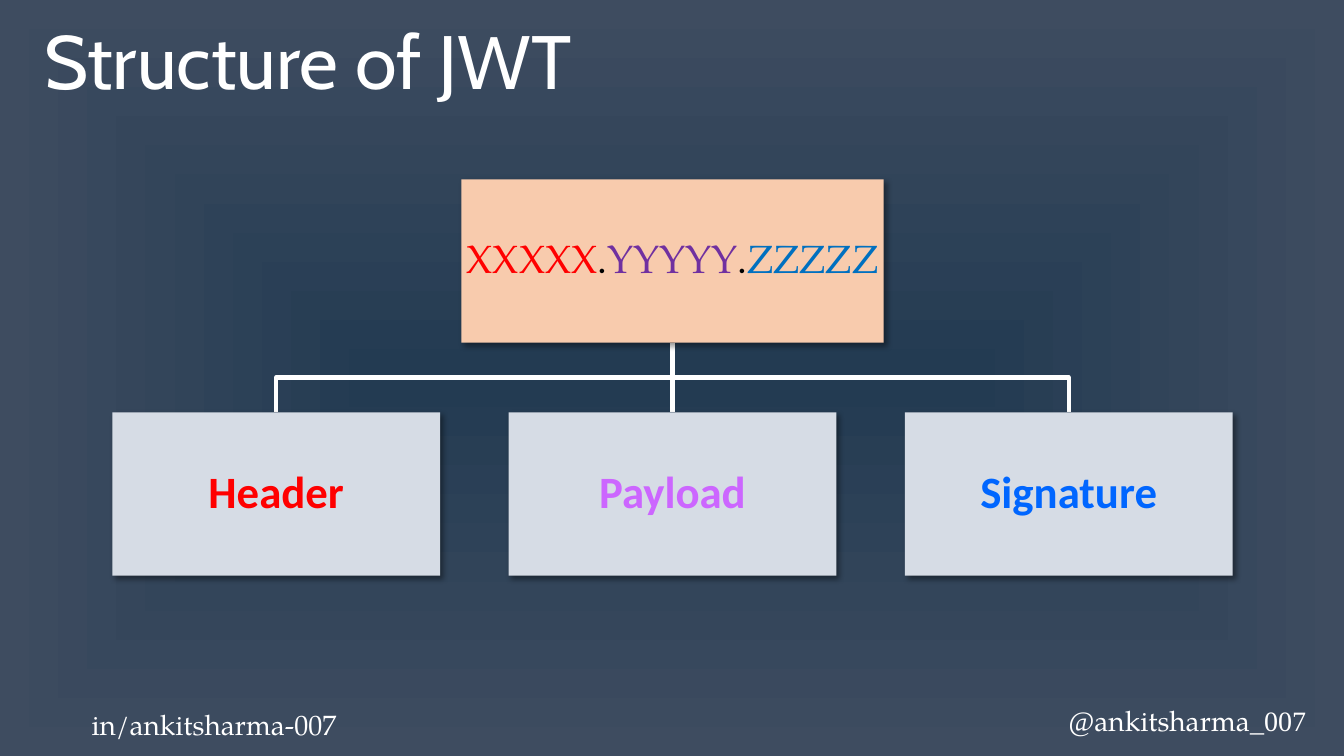
from lxml.etree import SubElement
from pptx import Presentation
from pptx.dml.color import RGBColor
from pptx.enum.shapes import MSO_CONNECTOR, MSO_SHAPE
from pptx.enum.text import MSO_ANCHOR, PP_ALIGN
from pptx.oxml.ns import qn
from pptx.util import Inches, Pt

SERIF = "TeX Gyre Pagella"
WHITE = "FFFFFF"


def color(hex_string):
    """Return the colour for a hex string."""
    return RGBColor.from_string(hex_string)


class SlideBuilder:
    """Draw styled elements on one slide."""

    def __init__(self, slide):
        """Keep the slide to draw on."""
        self.slide = slide

    def background(self, center, edge):
        """Fill the background with a gradient that spreads from the center."""
        fill = self.slide.background.fill
        fill.gradient()
        for stop, hex_string in zip(fill.gradient_stops, (center, edge)):
            stop.color.rgb = color(hex_string)
        gradient = self.slide.element.find(".//" + qn("a:gradFill"))
        edge_color = gradient.findall(".//" + qn("a:srgbClr"))[-1]
        SubElement(edge_color, qn("a:alpha"), val="90000")
        gradient.remove(gradient.find(qn("a:lin")))
        spread = SubElement(gradient, qn("a:path"), path="shape")
        sides = dict.fromkeys("ltrb", "50000")
        SubElement(spread, qn("a:fillToRect"), **sides)

    def add_runs(self, text_frame, runs, size, bold=False):
        """Fill one paragraph with (text, font, colour) runs."""
        paragraph = text_frame.paragraphs[0]
        for text, font_name, hex_string in runs:
            run = paragraph.add_run()
            run.text = text
            run.font.name = font_name
            run.font.size = Pt(size)
            run.font.bold = bold
            run.font.color.rgb = color(hex_string)
        return paragraph

    def title(self, text):
        """Place and format the title placeholder."""
        shape = self.slide.shapes.title
        shape.left, shape.top = Inches(0.34), Inches(0)
        shape.width, shape.height = Inches(11), Inches(1.1)
        shape.text_frame.vertical_anchor = MSO_ANCHOR.BOTTOM
        paragraph = self.add_runs(shape.text_frame, [(text, "Cabin", WHITE)], 54)
        paragraph.alignment = PP_ALIGN.LEFT
        paragraph.line_spacing = 0.9

    def box(self, center, top, width, height, fill, runs, size, bold=False):
        """Add a shadowed box with centred text."""
        shape = self.slide.shapes.add_shape(
            MSO_SHAPE.RECTANGLE, Inches(center - width / 2), Inches(top),
            Inches(width), Inches(height))
        shape.fill.solid()
        shape.fill.fore_color.rgb = color(fill)
        shape.line.fill.background()
        shape.shadow.inherit = False
        effects = shape.element.spPr.find(qn("a:effectLst"))
        shadow = SubElement(effects, qn("a:outerShdw"), blurRad="50800",
                            dist="38100", dir="2700000", algn="tl", rotWithShape="0")
        black = SubElement(shadow, qn("a:srgbClr"), val="000000")
        SubElement(black, qn("a:alpha"), val="40000")
        frame = shape.text_frame
        frame.word_wrap = True
        frame.vertical_anchor = MSO_ANCHOR.MIDDLE
        frame.margin_left = frame.margin_right = Inches(0.02)
        frame.margin_top = frame.margin_bottom = Inches(0.02)
        paragraph = self.add_runs(frame, runs, size, bold)
        paragraph.alignment = PP_ALIGN.CENTER
        paragraph.line_spacing = 0.9

    def branch(self, start_x, start_y, end_x, end_y):
        """Join two points with a straight line or an elbow."""
        if start_x == end_x:
            shape = self.slide.shapes.add_connector(
                MSO_CONNECTOR.STRAIGHT, Inches(start_x), Inches(start_y),
                Inches(end_x), Inches(end_y))
            SubElement(shape.element.spPr, qn("a:effectLst"))
        else:
            middle = (start_y + end_y) / 2
            corners = [(start_x, middle), (end_x, middle), (end_x, end_y)]
            outline = self.slide.shapes.build_freeform(Inches(start_x), Inches(start_y))
            outline.add_line_segments(
                [(Inches(x), Inches(y)) for x, y in corners], close=False)
            shape = outline.convert_to_shape()
            shape.fill.background()
            shape.shadow.inherit = False
        shape.line.color.rgb = color(WHITE)
        shape.line.width = Pt(3)

    def label(self, left, top, width, runs):
        """Add a one-line text box."""
        shape = self.slide.shapes.add_textbox(
            Inches(left), Inches(top), Inches(width), Inches(0.44))
        shape.text_frame.word_wrap = True
        self.add_runs(shape.text_frame, runs, 20)


def main():
    """Build the slide and save it."""
    presentation = Presentation()
    presentation.slide_width = Inches(13.33)
    presentation.slide_height = Inches(7.5)
    slide = presentation.slides.add_slide(presentation.slide_layouts[5])
    builder = SlideBuilder(slide)
    builder.background("233B52", "3E4C60")
    builder.title("Structure of JWT")

    center, pitch, box_height = 6.67, 3.93, 1.62
    token_top, parts_top = 1.78, 4.09
    parts = [("Header", "FF0000"), ("Payload", "CC66FF"), ("Signature", "0066FF")]
    part_centers = [center + pitch * offset for offset in (-1, 0, 1)]

    for part_center in part_centers:
        builder.branch(center, token_top + box_height, part_center, parts_top)
    token = [("XXXXX", SERIF, "FF0000"), (".", SERIF, "000000"),
             ("YYYYY", SERIF, "7030A0"), (".", SERIF, "000000"),
             ("ZZZZZ", SERIF, "0070C0")]
    builder.box(center, token_top, 4.19, box_height, "F8CBAD", token, 28)
    for part_center, (name, hex_string) in zip(part_centers, parts):
        builder.box(part_center, parts_top, 3.25, box_height, "D6DCE5",
                    [(name, "Calibri", hex_string)], 32, bold=True)

    builder.label(0.81, 6.97, 2.93, [("in/ankitsharma-007", SERIF, WHITE)])
    builder.label(10.5, 6.93, 2.61, [("@", "Times New Roman", WHITE),
                                     ("ankitsharma", SERIF, WHITE),
                                     ("_007", "Times New Roman", WHITE)])
    presentation.save("out.pptx")


if __name__ == "__main__":
    main()
